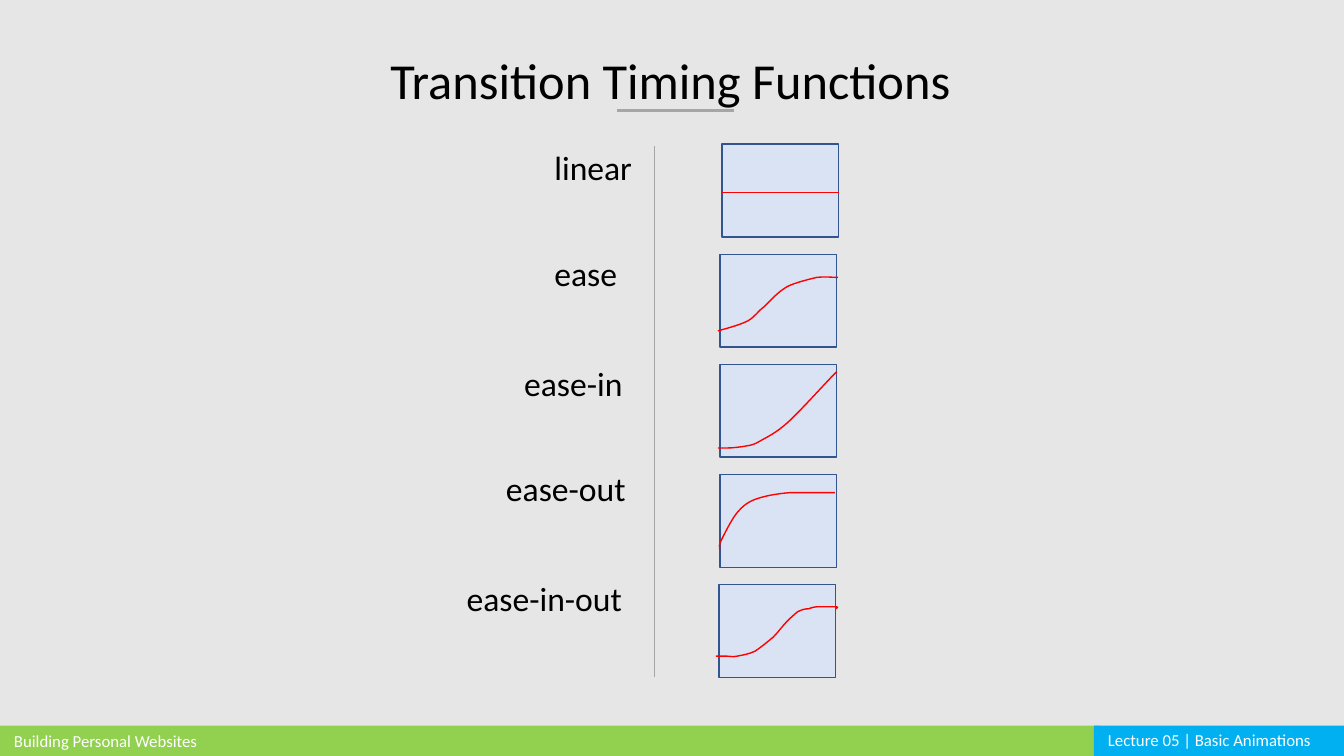
from pptx import Presentation
from pptx import util as u
from pptx.dml.color import RGBColor
from pptx.enum import shapes, text
from lxml import etree

WIDE, HIGH = 13.33, 7.5
FONT = "Calibri"
SPACE = "{http://schemas.openxmlformats.org/drawingml/2006/main}"
HUES = {"back": "E7E6E6", "green": "92D050", "blue": "00B0F0", "white": "FFFFFF",
        "black": "000000", "grey": "A6A6A6", "pale": "DAE3F3", "edge": "325491",
        "red": "FF0000"}

TITLE = "Transition Timing Functions"
# fill, bar left, bar width, text, text left, text top
FOOT = [("green", 0, 10.91, "Building Personal Websites", 0.04, 7.2),
        ("blue", 10.85, 2.48, "Lecture 05 | Basic Animations", 10.89, 7.19)]
BAR = 0.3

# Each row: label, label left, top and width, box left
ROWS = [("linear", 5.4, 1.21, 1.09, 7.16),
        ("ease", 5.4, 2.26, 1.09, 7.14),
        ("ease-in", 5.1, 3.35, 1.39, 7.14),
        ("ease-out", 4.92, 4.39, 1.75, 7.14),
        ("ease-in-out", 4.53, 5.48, 1.75, 7.13)]
TOP, STEP = 1.43, 1.0925
BOX_W, BOX_H = 1.16, 0.92
LEVEL = 0.48  # height of the flat line inside the first box

# Bezier points in hundredths of an inch from the corner of the box:
# a start, then two handles and an end for each piece
CURVE_X = 7.14
CURVES = {
    "ease": [(-2, 76), (9, 73), (20, 70), (28, 66), (36, 61), (37, 57), (44, 52),
             (50, 46), (58, 37), (67, 32), (75, 28), (88, 25), (96, 23),
             (105, 22), (111, 23), (117, 23)],
    "ease-in": [(-2, 83), (0, 83), (2, 83), (7, 83), (12, 83), (21, 82), (26, 81),
                (32, 80), (33, 80), (40, 76), (47, 72), (56, 68), (68, 57),
                (81, 45), (106, 17), (116, 7)],
    "ease-out": [(0, 75), (-1, 72), (-1, 70), (2, 64), (5, 58), (12, 44), (17, 38),
                 (23, 31), (28, 27), (37, 24), (46, 21), (57, 19), (70, 18),
                 (83, 18), (98, 18), (114, 18)],
    "ease-in-out": [(-4, 71), (0, 71), (4, 71), (7, 71), (10, 71), (13, 72), (17, 71),
                    (22, 70), (29, 69), (35, 66), (41, 62), (47, 57), (53, 52),
                    (58, 47), (63, 40), (67, 36), (71, 32), (77, 27), (77, 27),
                    (81, 25), (84, 24), (88, 24), (91, 23), (93, 22), (96, 22),
                    (99, 22), (105, 22), (105, 22), (108, 22), (112, 22), (116, 22),
                    (116, 22), (114, 26), (117, 22)],
}


def hue(name):
    return RGBColor.from_string(HUES[name])


def rect(page, x, y, w, h, fill, edge=None):
    box = page.add_shape(shapes.MSO_SHAPE.RECTANGLE, *map(u.Inches, (x, y, w, h)))
    box.shadow.inherit = False
    box.fill.solid()
    box.fill.fore_color.rgb = hue(fill)
    if edge:
        box.line.color.rgb = hue(edge)
        box.line.width = u.Pt(1)
    else:
        box.line.fill.background()


def write(page, x, y, w, h, words, size, tint="black", gap=None, align=None):
    frame = page.add_textbox(*map(u.Inches, (x, y, w, h))).text_frame
    frame.word_wrap = True
    frame.auto_size = text.MSO_AUTO_SIZE.SHAPE_TO_FIT_TEXT
    para = frame.paragraphs[0]
    para.alignment = align
    para.line_spacing = gap
    run = para.add_run()
    run.text = words
    run.font.name = FONT
    run.font.size = u.Pt(size)
    run.font.color.rgb = hue(tint)


def rule(page, x1, y1, x2, y2, tint, thick):
    line = page.add_connector(shapes.MSO_CONNECTOR.STRAIGHT,
                              *map(u.Inches, (x1, y1, x2, y2)))
    line.line.color.rgb = hue(tint)
    line.line.width = u.Pt(thick)
    etree.SubElement(line._element.spPr, SPACE + "effectLst")


def curve(page, top, points):
    """Draw the points as a polyline, then turn every three steps into a Bezier."""
    spots = [(u.Inches(CURVE_X + x / 100), u.Inches(top + y / 100))
             for x, y in points]
    pen = page.build_freeform(*spots[0])
    pen.add_line_segments(spots[1:], close=False)
    arc = pen.convert_to_shape()
    steps = list(arc._element.iter(SPACE + "lnTo"))
    for i in range(0, len(steps), 3):
        bend = etree.Element(SPACE + "cubicBezTo")
        steps[i].addprevious(bend)
        for step in steps[i:i + 3]:
            bend.append(step[0])
            step.getparent().remove(step)
    arc.shadow.inherit = False
    arc.fill.background()
    arc.line.color.rgb = hue("red")
    arc.line.width = u.Pt(1)


def main():
    deck = Presentation()
    deck.slide_width, deck.slide_height = u.Inches(WIDE), u.Inches(HIGH)
    slide = deck.slides.add_slide(deck.slide_layouts[6])
    slide.background.fill.solid()
    slide.background.fill.fore_color.rgb = hue("back")
    page = slide.shapes

    for fill, x, w, words, left, top in FOOT:
        rect(page, x, HIGH - BAR, w, BAR, fill)
        write(page, left, top, 2.93, BAR, words, 12, "white")

    write(page, 3.68, 0.14, 5.94, 0.92, TITLE, 36, gap=1.5,
          align=text.PP_ALIGN.CENTER)
    rule(page, 6.12, 1.1, 7.28, 1.1, "grey", 2.25)

    group = page.add_group_shape().shapes
    rule(group, 6.49, 1.45, 6.49, 6.72, "grey", 0.5)
    for row, (name, x, y, w, left) in enumerate(ROWS):
        top = TOP + row * STEP
        write(group, x, y, w, 0.64, name, 24, gap=1.5)
        rect(group, left, top, BOX_W, BOX_H, "pale", "edge")
        if name in CURVES:
            curve(group, top, CURVES[name])
        else:
            rule(group, left, top + LEVEL, left + BOX_W, top + LEVEL, "red", 0.5)

    deck.save("out.pptx")


if __name__ == "__main__":
    main()
